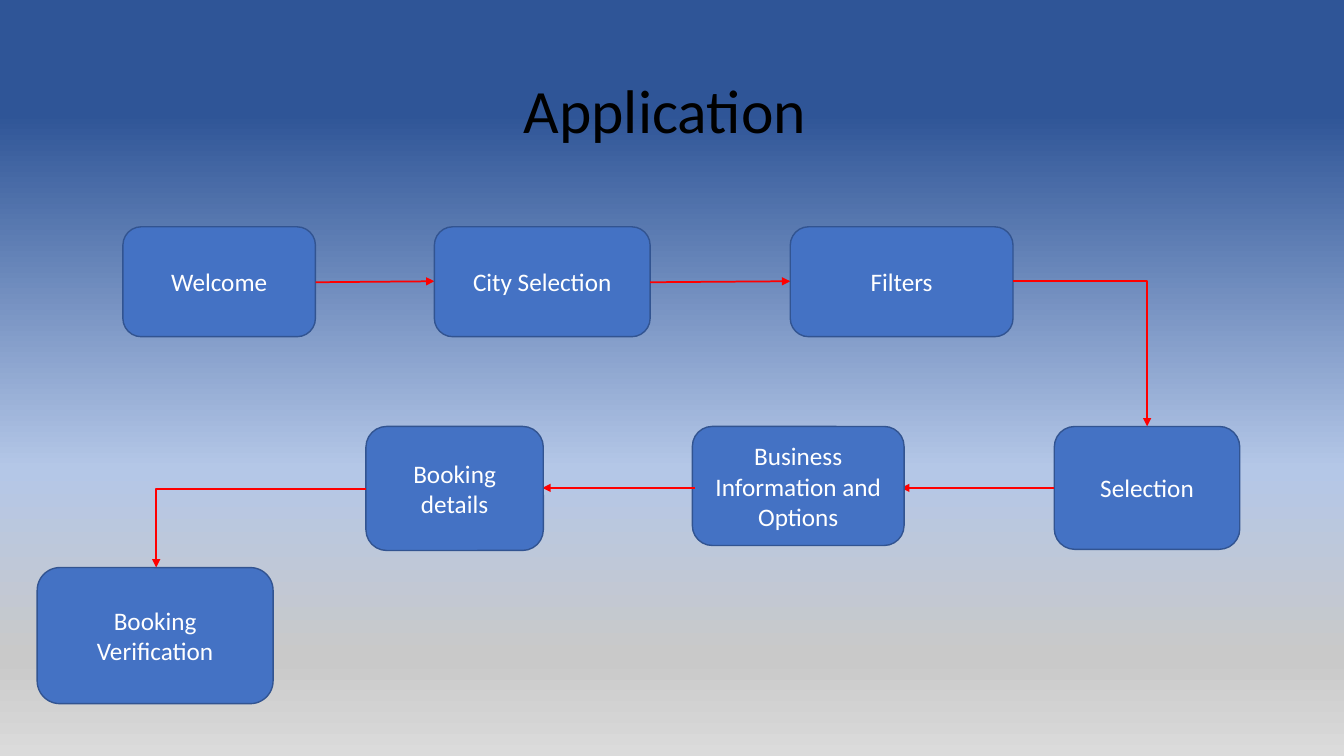
"""Build the Application slide: a flow of booking screens joined by red arrows."""
from lxml.etree import SubElement
from pptx import Presentation
from pptx.dml.color import RGBColor
from pptx.enum.shapes import MSO_CONNECTOR, MSO_SHAPE
from pptx.enum.text import MSO_ANCHOR, PP_ALIGN
from pptx.oxml.ns import qn
from pptx.util import Pt

BLACK = RGBColor(0x00, 0x00, 0x00)
WHITE = RGBColor(0xFF, 0xFF, 0xFF)
RED = RGBColor(0xFF, 0x00, 0x00)
BLUE = RGBColor(0x44, 0x72, 0xC4)
BLUE_EDGE = RGBColor(0x32, 0x54, 0x91)
BACKGROUND_STOPS = [
    (15, RGBColor(0x2F, 0x55, 0x97)),
    (62, RGBColor(0xB4, 0xC7, 0xE7)),
    (87, RGBColor(0xC9, 0xC9, 0xC9)),
    (100, RGBColor(0xDB, 0xDB, 0xDB)),
]
TITLE_FORMAT = {"name": "Calibri", "size": Pt(44)}
LABEL_FORMAT = {"name": "Calibri", "size": Pt(18)}

TOP_ROW, MIDDLE_ROW, BOTTOM_ROW = 162, 304.6, 405.4
STRAIGHT, ELBOW = MSO_CONNECTOR.STRAIGHT, MSO_CONNECTOR.ELBOW
STEPS = [
    ("Welcome", (87.8, TOP_ROW, 137.5, 78.5), (STRAIGHT, 225.4, 201.6, 310.3, 200.9)),
    ("City Selection", (310.3, TOP_ROW, 154.1, 78.5), (STRAIGHT, 464.4, 201.6, 564.5, 200.9)),
    ("Filters", (564.5, TOP_ROW, 159.1, 78.5), (ELBOW, 723.6, 200.9, 819.4, MIDDLE_ROW)),
    ("Selection", (753.1, MIDDLE_ROW, 132.5, 87.8), (STRAIGHT, 753.1, 348.5, 643.7, 348.5)),
    ("Business Information and Options", (494.6, MIDDLE_ROW, 151.2, 85),
     (STRAIGHT, 496.1, 348.5, 387.4, 348.5)),
    ("Booking details", (261.4, MIDDLE_ROW, 126.7, 88.6), (ELBOW, 261.4, 349.2, 111.6, BOTTOM_ROW)),
    ("Booking Verification", (26.6, BOTTOM_ROW, 168.5, 97.2), None),
]


def write_text(shape, text, values, color):
    shape.text_frame.word_wrap = True
    shape.text_frame.vertical_anchor = MSO_ANCHOR.MIDDLE
    para = shape.text_frame.paragraphs[0]
    para.alignment = PP_ALIGN.CENTER
    span = para.add_run()
    span.text = text
    for key, value in values.items():
        setattr(span.font, key, value)
    span.font.color.rgb = color
    return para


def add_arrow(page, kind, *ends):
    arrow = page.shapes.add_connector(kind, *map(Pt, ends))
    arrow.line.color.rgb = RED
    arrow.line.width = Pt(1.25)
    properties = arrow.element.spPr
    if kind == ELBOW:
        properties.find(qn("a:prstGeom")).set("prst", "bentConnector2")
    SubElement(properties.find(qn("a:ln")), qn("a:tailEnd"), type="triangle")
    SubElement(properties, qn("a:effectLst"))


deck = Presentation()
deck.slide_width, deck.slide_height = Pt(960), Pt(540)
page = deck.slides.add_slide(deck.slide_layouts[5])

backdrop = page.background.fill
backdrop.gradient()
backdrop.gradient_angle = 270
stop_list = page.element.find(".//" + qn("a:gsLst"))
for stop in list(stop_list):
    stop_list.remove(stop)
for percent, color in BACKGROUND_STOPS:
    stop = SubElement(stop_list, qn("a:gs"), pos=str(percent * 1000))
    SubElement(stop, qn("a:srgbClr"), val=str(color))

title = page.shapes.title
title.left, title.top, title.width, title.height = map(Pt, (66, 28.8, 828, 104.4))
write_text(title, "Application ", TITLE_FORMAT, BLACK).line_spacing = 0.9

for label, frame, arrow in STEPS:
    box = page.shapes.add_shape(MSO_SHAPE.ROUNDED_RECTANGLE, *map(Pt, frame))
    box.shadow.inherit = False
    box.fill.solid()
    box.fill.fore_color.rgb = BLUE
    box.line.color.rgb = BLUE_EDGE
    box.line.width = Pt(1)
    write_text(box, label, LABEL_FORMAT, WHITE)
    if arrow:
        add_arrow(page, *arrow)

deck.save("out.pptx")
